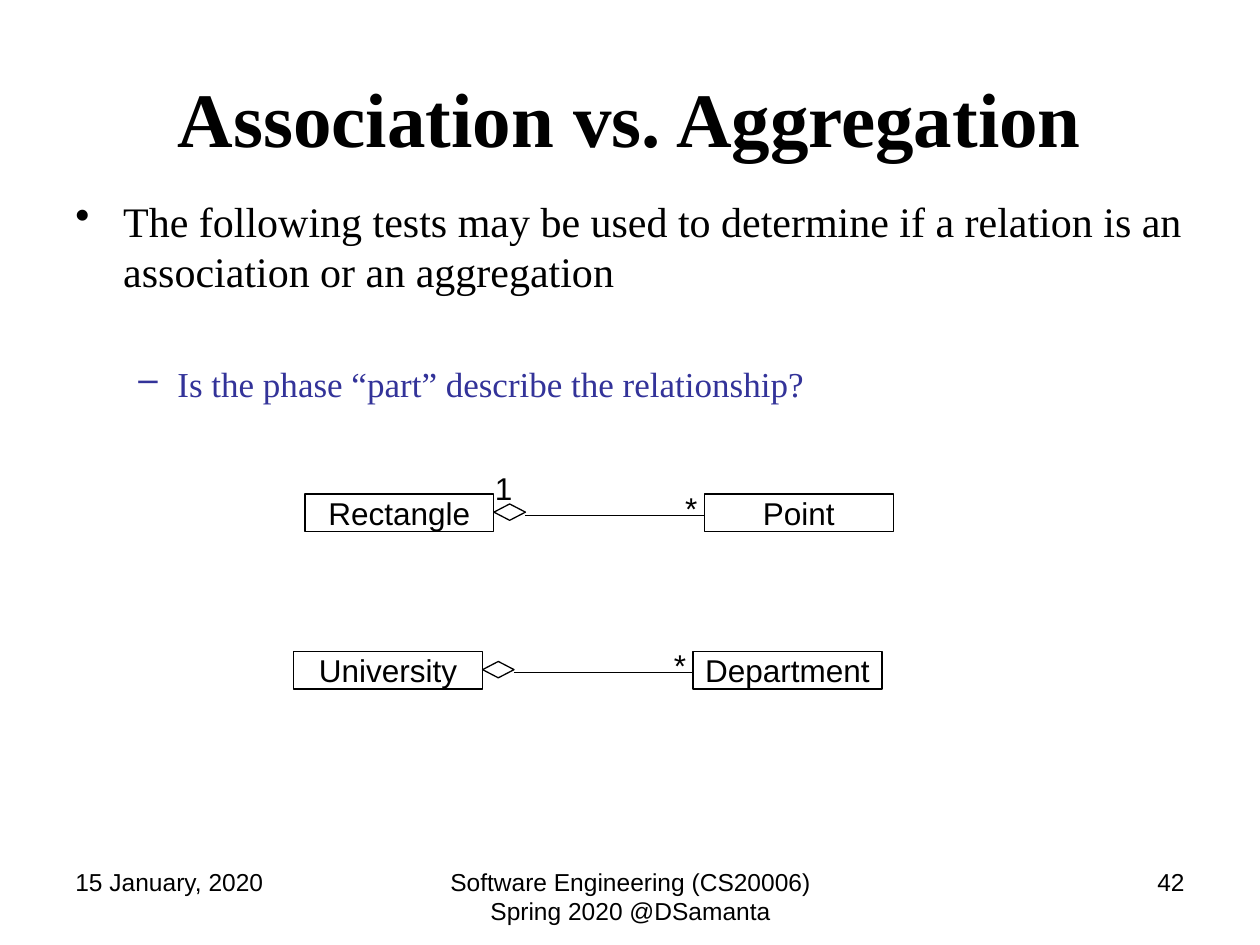
from dataclasses import dataclass

from lxml import etree
from pptx import Presentation
from pptx.dml.color import RGBColor
from pptx.enum.shapes import MSO_CONNECTOR, MSO_SHAPE
from pptx.enum.text import MSO_ANCHOR, PP_ALIGN
from pptx.oxml.ns import qn
from pptx.util import Inches, Pt

LEFT, MID, RIGHT = PP_ALIGN.LEFT, PP_ALIGN.CENTER, PP_ALIGN.RIGHT
TOP, CENTRE = MSO_ANCHOR.TOP, MSO_ANCHOR.MIDDLE
RECT, DIAMOND = MSO_SHAPE.RECTANGLE, MSO_SHAPE.FLOWCHART_DECISION
STRAIGHT = MSO_CONNECTOR.STRAIGHT


@dataclass(frozen=True)
class Theme:
    ink: RGBColor = RGBColor(0, 0, 0)
    blue: RGBColor = RGBColor(0x33, 0x33, 0x99)
    serif: str = "Times New Roman"
    sans: str = "Arial"
    head: Pt = Pt(44)
    body: Pt = Pt(24)
    sub: Pt = Pt(20)
    label: Pt = Pt(18)
    foot: Pt = Pt(14)
    line: Pt = Pt(0.75)


def apply(item, form):
    for name, value in form.items():
        setattr(item, name, value)


class Deck:
    """Draws styled elements on the current slide."""

    def __init__(self, theme):
        self.theme = theme
        self.file = Presentation()
        apply(self.file, {"slide_width": Inches(10), "slide_height": Inches(7.5)})
        self.slide = self.file.slides.add_slide(self.file.slide_layouts[6])

    def words(self, para, text, size, face, **extra):
        para.add_run().text = text
        form = {"size": size, "name": face, **extra}
        para.font.color.rgb = form.pop("color", self.theme.ink)
        apply(para.font, form)

    def text(self, area, box, text, size, face, align=LEFT, anchor=TOP,
             wrap=True, **extra):
        frame = area.add_textbox(*map(Inches, box)).text_frame
        apply(frame, {"word_wrap": wrap, "vertical_anchor": anchor})
        para = frame.paragraphs[0]
        para.alignment = align
        self.words(para, text, size, face, **extra)

    def bullets(self, box, items):
        frame = self.slide.shapes.add_textbox(*map(Inches, box)).text_frame
        frame.word_wrap = True
        for i, (text, mark, level, left, hang, gap, form) in enumerate(items):
            para = frame.add_paragraph() if i else frame.paragraphs[0]
            apply(para, {"level": level, "space_before": Pt(gap)})
            props = para._p.get_or_add_pPr()
            props.set("marL", str(Inches(left)))
            props.set("indent", str(-Inches(hang)))
            etree.SubElement(props, qn("a:buChar")).set("char", mark)
            self.words(para, text, face=self.theme.serif, **form)

    def shape(self, area, kind, box, text=""):
        shape = area.add_shape(kind, *map(Inches, box))
        shape.shadow.inherit = False
        shape.fill.background()
        shape.line.color.rgb = self.theme.ink
        shape.line.width = self.theme.line
        if text:
            frame = shape.text_frame
            apply(frame, {"word_wrap": False, "vertical_anchor": CENTRE})
            para = frame.paragraphs[0]
            para.alignment = MID
            self.words(para, text, self.theme.label, self.theme.sans)

    def link(self, area, *ends):
        link = area.add_connector(STRAIGHT, *map(Inches, ends))
        link.line.color.rgb = self.theme.ink
        link.line.width = self.theme.line
        etree.SubElement(link._element.spPr, qn("a:effectLst"))

    def whole(self, x, y, owner, part, count=""):
        area = self.slide.shapes.add_group_shape().shapes
        far = x + 3.17
        self.shape(area, RECT, (x, y, 1.5, 0.3), owner)
        self.shape(area, RECT, (far, y, 1.5, 0.3), part)
        self.shape(area, DIAMOND, (x + 1.5, y + 0.08, 0.25, 0.13))
        self.link(area, x + 1.75, y + 0.17, far, y + 0.17)
        marks = [(count, x + 1.41, y - 0.25, 0.34), ("*", far - 0.25, y - 0.09, 0.3)]
        for mark, left, top, width in marks:
            if mark:
                self.text(area, (left, top, width, 0.4), mark,
                          self.theme.label, self.theme.sans, wrap=False)


def main():
    look = Theme()
    deck = Deck(look)
    area = deck.slide.shapes
    deck.text(area, (0.5, 0.3, 9, 1.25), "Association vs. Aggregation",
              look.head, look.serif, MID, CENTRE, bold=True)
    deck.bullets((0.5, 1.5, 9, 5.2), [
        ("The following tests may be used to determine if a relation is an "
         "association or an aggregation", "•", 0, 0.38, 0.38, 0,
         {"size": look.body}),
        ("Is the phase “part” describe the relationship?", "–", 1, 0.81, 0.31, 38,
         {"size": look.sub, "color": look.blue}),
    ])
    deck.whole(2.42, 3.92, "Rectangle", "Point", "1")
    deck.whole(2.33, 5.17, "University", "Department")
    feet = [
        (0.5, 2.33, "15 January, 2020", LEFT),
        (3.42, 3.17, "Software Engineering (CS20006) Spring 2020 @DSamanta", MID),
        (7.17, 2.33, "42", RIGHT),
    ]
    for left, width, text, align in feet:
        deck.text(area, (left, 6.83, width, 0.52), text, look.foot, look.sans, align)
    deck.file.save("out.pptx")


if __name__ == "__main__":
    main()
